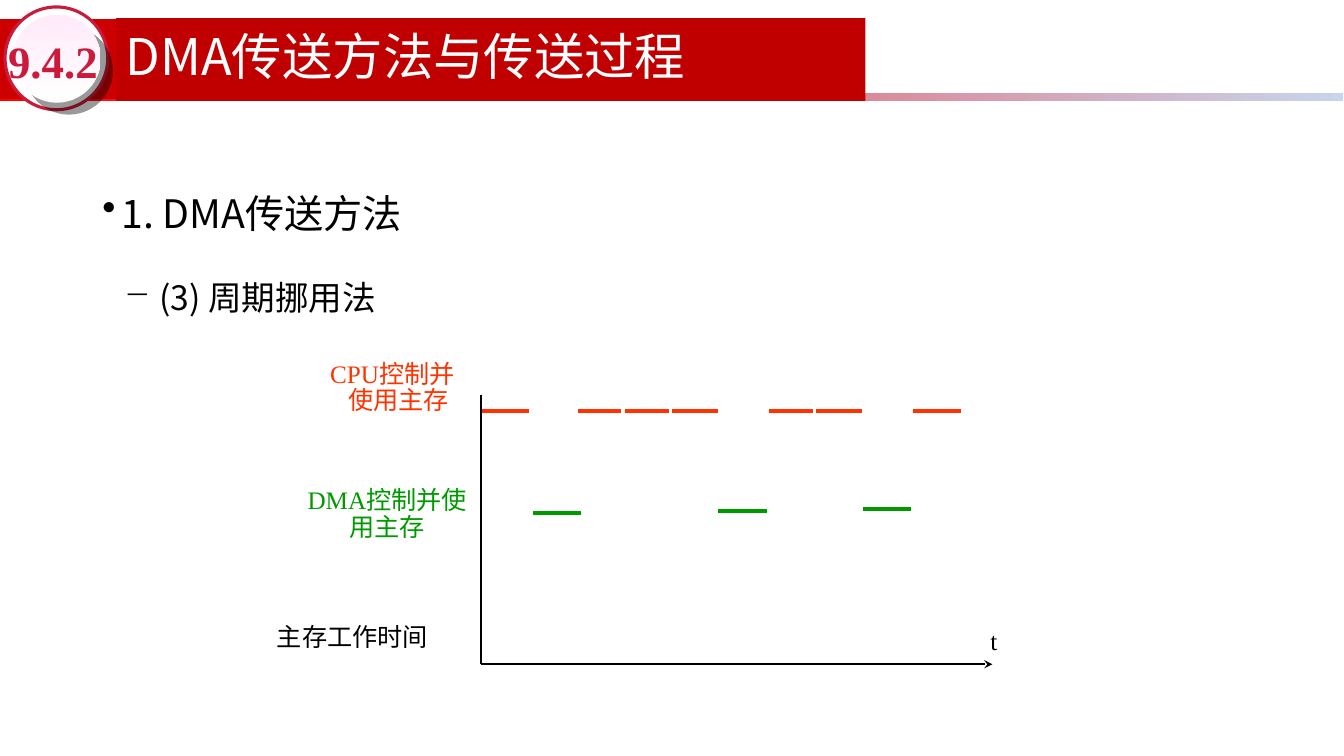
from dataclasses import dataclass

from lxml.etree import SubElement
from pptx import Presentation
from pptx.dml.color import RGBColor
from pptx.enum.shapes import MSO_CONNECTOR, MSO_SHAPE
from pptx.enum.text import MSO_ANCHOR, PP_ALIGN
from pptx.oxml.ns import qn
from pptx.shapes.autoshape import Shape
from pptx.shapes.connector import Connector
from pptx.slide import Slide
from pptx.util import Pt


@dataclass(frozen=True)
class Theme:
    sans: str = "Noto Sans CJK SC"
    serif: str = "Times New Roman"
    black: str = "000000"
    white: str = "FFFFFF"
    banner: str = "C00000"
    banner_under: str = "CC0000"
    stripe: tuple[str, str] = ("FF0000", "C7D5ED")
    badge: str = "CB1B3D"
    badge_glow: tuple[str, str] = ("FFFFFF", "FFEBFA")
    cpu: str = "FF3300"
    dma: str = "009900"
    title_size: float = 36
    number_size: float = 32
    heading_size: float = 28
    subheading_size: float = 24
    label_size: float = 18


THEME = Theme()


@dataclass(frozen=True)
class Box:
    left: float
    top: float
    width: float
    height: float

    def lengths(self) -> tuple[Pt, Pt, Pt, Pt]:
        return Pt(self.left), Pt(self.top), Pt(self.width), Pt(self.height)


@dataclass(frozen=True)
class Line:
    """One paragraph; indent and bullet hang lengths are in points."""
    text: str
    size: float = THEME.label_size
    color: str = THEME.black
    face: str = THEME.serif
    bold: bool = False
    align: PP_ALIGN = PP_ALIGN.LEFT
    spacing: float = 1.0
    before: float = 0
    indent: float = 0
    bullet: str = ""
    hang: float = 0
    level: int = 0


@dataclass(frozen=True)
class Label:
    box: Box
    lines: tuple[Line, ...]


@dataclass(frozen=True)
class Burst:
    """A stretch of time during which one side holds main memory."""
    start: float
    end: float
    height: float
    color: str


HEADINGS = (
    Line("1. DMA传送方法", THEME.heading_size, face=THEME.sans, align=PP_ALIGN.JUSTIFY,
         spacing=2.0, indent=13.5, bullet="•", hang=13.5),
    Line("(3) 周期挪用法", THEME.subheading_size, face=THEME.sans, align=PP_ALIGN.JUSTIFY,
         spacing=2.0, indent=40.5, bullet="−", hang=25, level=1),
)

LABELS = (
    Label(Box(211.7, 252.7, 137.5, 44.6), (
        Line("CPU控制并", color=THEME.cpu, align=PP_ALIGN.CENTER),
        Line("使用主存", color=THEME.cpu, align=PP_ALIGN.CENTER,
             spacing=0.2, before=11.2, indent=9))),
    Label(Box(208, 344.9, 137.5, 46), (
        Line("DMA控制并使用主存", color=THEME.dma, align=PP_ALIGN.CENTER, spacing=0.9),)),
    Label(Box(190.8, 440, 160, 29), (Line("主存工作时间"),)),
    Label(Box(700.6, 442.8, 57, 29), (Line("t"),)),
)

CPU_SPANS = ((343.5, 378), (413.3, 443.5), (446.4, 478), (480.2, 513.4),
             (549.4, 581), (583.2, 616.3), (652.3, 686.9))
DMA_SPANS = ((380.9, 415.4, 366.5), (513.4, 547.9, 365), (617, 650.9, 363.6))
BURSTS = (*(Burst(start, end, 293.8, THEME.cpu) for start, end in CPU_SPANS),
          *(Burst(*span, THEME.dma) for span in DMA_SPANS))

AXIS_LEFT, AXIS_TOP, AXIS_RIGHT, AXIS_BOTTOM = 343.5, 282.2, 709.2, 474.5


def rgb(color: str) -> RGBColor:
    return RGBColor.from_string(color)


def add_area(slide: Slide, kind: MSO_SHAPE, box: Box,
             fill: str | tuple[str, str], angle: float = 0) -> Shape:
    """Add a shape without outline or shadow; a pair of colours makes a gradient."""
    area = slide.shapes.add_shape(kind, *box.lengths())
    area.shadow.inherit = False
    area.line.fill.background()
    if isinstance(fill, str):
        area.fill.solid()
        area.fill.fore_color.rgb = rgb(fill)
    else:
        area.fill.gradient()
        area.fill.gradient_angle = angle
        for stop, color, position in zip(area.fill.gradient_stops, fill, (0, 1)):
            stop.color.rgb = rgb(color)
            stop.position = position
    return area


def cast_shadow(area: Shape) -> None:
    effects = area.element.spPr.find(qn("a:effectLst"))
    shadow = SubElement(effects, qn("a:outerShdw"), blurRad="0", dist=str(Pt(12.1)),
                        dir="2700000", algn="ctr", rotWithShape="0")
    color = SubElement(shadow, qn("a:srgbClr"), val=THEME.black)
    SubElement(color, qn("a:alpha"), val="40000")


def add_rule(slide: Slide, start: tuple[float, float], end: tuple[float, float],
             color: str, width: float) -> Connector:
    rule = slide.shapes.add_connector(MSO_CONNECTOR.STRAIGHT, *map(Pt, (*start, *end)))
    rule.line.color.rgb = rgb(color)
    rule.line.width = Pt(width)
    SubElement(rule.element.spPr, qn("a:effectLst"))
    return rule


def write(holder: Shape, lines: tuple[Line, ...],
          anchor: MSO_ANCHOR = MSO_ANCHOR.TOP, inset: float | None = None) -> None:
    frame = holder.text_frame
    frame.word_wrap = True
    frame.vertical_anchor = anchor
    if inset is not None:
        for side in ("left", "top", "right", "bottom"):
            setattr(frame, f"margin_{side}", Pt(inset))
    for number, line in enumerate(lines):
        paragraph = frame.add_paragraph() if number else frame.paragraphs[0]
        layout = {"alignment": line.align, "line_spacing": line.spacing,
                  "space_before": Pt(line.before), "level": line.level}
        for name, value in layout.items():
            setattr(paragraph, name, value)
        properties = paragraph._p.get_or_add_pPr()
        properties.set("marL", str(Pt(line.indent)))
        properties.set("indent", str(Pt(-line.hang)))
        if line.bullet:
            tint = SubElement(properties, qn("a:buClr"))
            SubElement(tint, qn("a:srgbClr"), val=line.color)
            SubElement(properties, qn("a:buChar"), char=line.bullet)
        run = paragraph.add_run()
        run.text = line.text
        look = {"name": line.face, "size": Pt(line.size), "bold": line.bold}
        for name, value in look.items():
            setattr(run.font, name, value)
        run.font.color.rgb = rgb(line.color)
        SubElement(run._r.get_or_add_rPr(), qn("a:ea"), typeface=THEME.sans)


def draw_header(slide: Slide) -> None:
    add_area(slide, MSO_SHAPE.RECTANGLE, Box(0, 66.2, 960, 5.8), THEME.stripe)
    add_area(slide, MSO_SHAPE.RECTANGLE, Box(0, 13.7, 525.6, 57), THEME.banner_under)
    banner = add_area(slide, MSO_SHAPE.RECTANGLE, Box(82.8, 13, 535.7, 59), THEME.banner)
    write(banner, (Line("DMA传送方法与传送过程", THEME.title_size, THEME.white,
                        THEME.sans, spacing=0.9),), MSO_ANCHOR.MIDDLE)
    ring = add_area(slide, MSO_SHAPE.OVAL, Box(3.6, 5, 73.4, 73.4), THEME.white)
    ring.line.color.rgb = rgb(THEME.badge)
    ring.line.width = Pt(2.25)
    cast_shadow(add_area(slide, MSO_SHAPE.OVAL, Box(9.4, 10.8, 62.6, 62.6),
                         THEME.badge_glow, 90))
    number = slide.shapes.add_textbox(*Box(5.8, 23.8, 67, 38.9).lengths())
    write(number, (Line("9.4.2", THEME.number_size, THEME.badge, bold=True),),
          MSO_ANCHOR.MIDDLE, 0)


def draw_timing(slide: Slide) -> None:
    for burst in BURSTS:
        add_rule(slide, (burst.start, burst.height), (burst.end, burst.height), burst.color, 3)
    origin = (AXIS_LEFT, AXIS_BOTTOM)
    time_axis = add_rule(slide, origin, (AXIS_RIGHT, AXIS_BOTTOM), THEME.black, 1.5)
    SubElement(time_axis.line._get_or_add_ln(), qn("a:tailEnd"), type="stealth")
    add_rule(slide, (AXIS_LEFT, AXIS_TOP), origin, THEME.black, 1.5)
    for label in LABELS:
        write(slide.shapes.add_textbox(*label.box.lengths()), label.lines)


def main() -> None:
    deck = Presentation()
    deck.slide_width, deck.slide_height = Pt(960.48), Pt(540)
    slide = deck.slides.add_slide(deck.slide_layouts[6])
    draw_header(slide)
    write(slide.shapes.add_textbox(*Box(66.2, 97.9, 828, 391.7).lengths()), HEADINGS)
    draw_timing(slide)
    deck.save("out.pptx")


if __name__ == "__main__":
    main()
